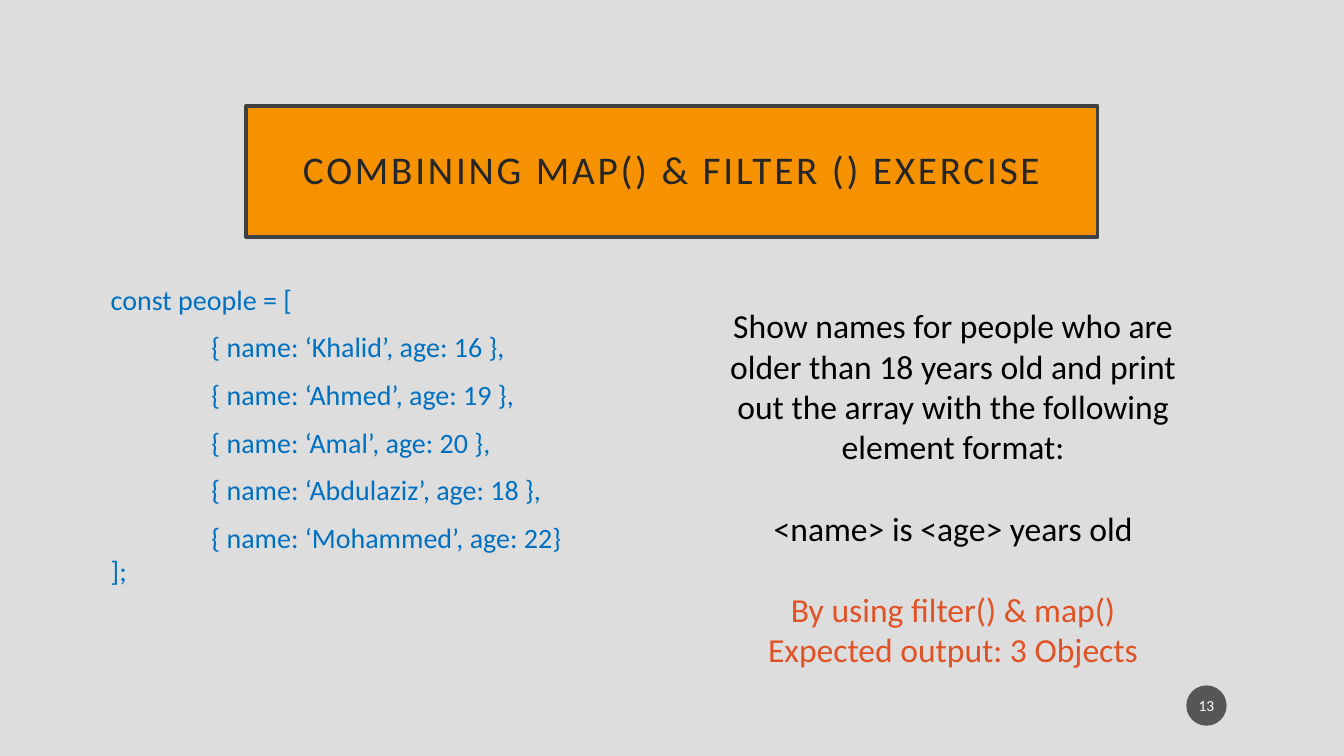
"""Build the slide with the map and filter exercise."""
from pptx import Presentation
from pptx.dml.color import RGBColor
from pptx.enum.shapes import MSO_SHAPE
from pptx.enum.text import MSO_ANCHOR, MSO_AUTO_SIZE, PP_ALIGN
from pptx.oxml.ns import qn
from pptx.util import Pt
from lxml.etree import SubElement

GREY = RGBColor(0xDD, 0xDD, 0xDD)
ORANGE = RGBColor(0xF6, 0x92, 0x00)
FRAME = RGBColor(0x40, 0x40, 0x40)
DARK = RGBColor(0x26, 0x26, 0x26)
DISC = RGBColor(0x1D, 0x1D, 0x1D)
WHITE = RGBColor(0xFF, 0xFF, 0xFF)
BLUE = RGBColor(0x00, 0x70, 0xC0)
BLACK = RGBColor(0x00, 0x00, 0x00)
RED = RGBColor(0xDF, 0x53, 0x27)

TITLE = "COMBINING MAP() & FILTER () EXERCISE"
NUMBER = "13"
PEOPLE = [
    "{ name: ‘Khalid’, age: 16 },",
    "{ name: ‘Ahmed’, age: 19 },",
    "{ name: ‘Amal’, age: 20 },",
    "{ name: ‘Abdulaziz’, age: 18 },",
    "{ name: ‘Mohammed’, age: 22}",
]
GAP = 29.3
TASK = [
    ("Show names for people who are older than 18 years old and print "
     "out the array with the following element format:", BLACK, 0),
    ("<name> is <age> years old", BLACK, GAP),
    ("By using filter() & map()", RED, GAP),
    ("Expected output: 3 Objects", RED, 0),
]


def style(para, size, color, align=PP_ALIGN.LEFT, before=0, indent=0):
    """Format one paragraph and its runs."""
    para.alignment = align
    para.space_before = Pt(before)
    if indent:
        para._p.get_or_add_pPr().set("marL", str(Pt(indent)))
    for run in para.runs:
        run.font.name = "Calibri"
        run.font.size = Pt(size)
        run.font.color.rgb = color


def inset(frame, side, top):
    """Set the inner margins of a text frame."""
    frame.margin_left = frame.margin_right = Pt(side)
    frame.margin_top = frame.margin_bottom = Pt(top)
    frame.vertical_anchor = MSO_ANCHOR.MIDDLE


def add_text(slide, box, lines, size, align):
    """Add a text box with lines of (text, color, space before, indent)."""
    frame = slide.shapes.add_textbox(*map(Pt, box)).text_frame
    frame.word_wrap = True
    frame.text = "\n".join(line[0] for line in lines)
    for para, (_, color, before, indent) in zip(frame.paragraphs, lines):
        style(para, size, color, align, before, indent)


def add_title(slide):
    """Place and format the title."""
    title = slide.shapes.title
    title.left, title.top, title.width, title.height = map(
        Pt, (175.7, 75.6, 608.4, 93.6))
    title.fill.solid()
    title.fill.fore_color.rgb = ORANGE
    title.line.color.rgb = FRAME
    title.line.width = Pt(2.5)
    frame = title.text_frame
    frame.text = TITLE
    frame.word_wrap = True
    frame.auto_size = MSO_AUTO_SIZE.NONE
    inset(frame, 14.4, 14.4)
    para = frame.paragraphs[0]
    para.line_spacing = 0.9
    style(para, 28, DARK, PP_ALIGN.CENTER)
    para.runs[0].font._element.set("spc", "200")


def add_number(slide):
    """Add the slide number on its see-through disc."""
    disc = slide.shapes.add_shape(
        MSO_SHAPE.OVAL, *map(Pt, (847.4, 489.6, 28.8, 28.8)))
    disc.shadow.inherit = False
    disc.fill.solid()
    disc.fill.fore_color.rgb = DISC
    disc.line.fill.background()
    tint = disc._element.spPr.find(qn("a:solidFill"))[0]
    SubElement(tint, qn("a:alpha")).set("val", "70000")
    frame = disc.text_frame
    frame.text = NUMBER
    inset(frame, 1.4, 3.6)
    style(frame.paragraphs[0], 11, WHITE, PP_ALIGN.CENTER)


def main():
    """Build and save the deck."""
    deck = Presentation()
    deck.slide_width, deck.slide_height = Pt(960), Pt(540)
    slide = deck.slides.add_slide(deck.slide_layouts[5])
    slide.background.fill.solid()
    slide.background.fill.fore_color.rgb = GREY
    add_title(slide)
    add_number(slide)
    code = [("const people = [", BLUE, 10, 0)]
    code += [(text, BLUE, 10, 72) for text in PEOPLE]
    code += [("];", BLUE, 0, 0)]
    add_text(slide, (72, 198, 516.2, 244), code, 20, PP_ALIGN.LEFT)
    task = [(*line, 0) for line in TASK]
    add_text(slide, (499.7, 214.6, 362.2, 269.3), task, 24, PP_ALIGN.CENTER)
    deck.save("out.pptx")


if __name__ == "__main__":
    main()
